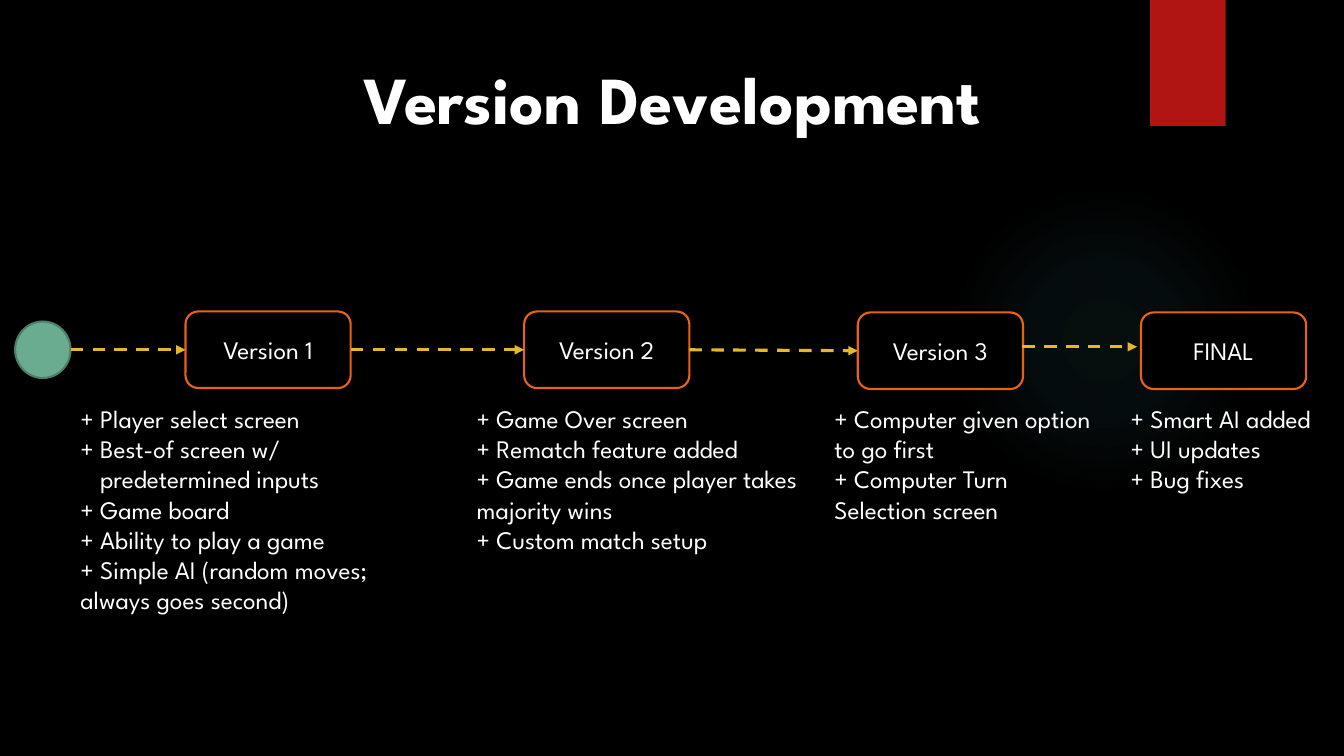
from pptx import Presentation
from pptx import util as u
from pptx.dml.color import RGBColor
from pptx.enum import dml, shapes, text
from pptx.oxml import parse_xml
from pptx.oxml.ns import nsdecls

TITLE = "Version Development"
INDENT = 14
VERSIONS = [
    {"name": "Version 1", "box": (132.5, 222.5), "notes": (50.4, 267.8), "lines": [
        ("+ Player select screen", 0),
        ("+ Best-of screen w/", 0),
        ("predetermined inputs", INDENT),
        ("+ Game board", 0),
        ("+ Ability to play a game", 0),
        ("+ Simple AI (random moves; always goes second)", 0)]},
    {"name": "Version 2", "box": (374.4, 222.5), "notes": (333.4, 255.6), "lines": [
        ("+ Game Over screen", 0),
        ("+ Rematch feature added", 0),
        ("+ Game ends once player takes majority wins", 0),
        ("+ Custom match setup", 0)]},
    {"name": "Version 3", "box": (612.7, 223.2), "notes": (589, 197.3), "lines": [
        ("+ Computer given option to go first", 0),
        ("+ Computer Turn Selection screen", 0)]},
    {"name": "FINAL", "box": (815, 223.2), "notes": (800.6, 146.2), "lines": [
        ("+ Smart AI added", 0),
        ("+ UI updates", 0),
        ("+ Bug fixes", 0)]},
]

THEME = {
    "font": "League Spartan", "title": 48, "body": 18,
    "back": "000000", "ink": "FFFFFF", "ribbon": "B01513", "glow": "50B9C1",
    "start": "6AAC90", "start_line": "4E7F6B", "box_line": "EA6312", "arrow": "E6B729",
}
BOX_W, BOX_H = 118, 54.7
NOTES_TOP, LINE_H = 284.4, 21.6
START = (10.8, 229.7, 39.6, 40.3)
FINAL_ARROW = (730.1, 247.7, 812.2, 247.7)
GLOW_STOPS = [(0, 7), (36, 6), (69, 0)]


def color(name):
    return RGBColor.from_string(THEME[name])


def pts(*values):
    return [u.Pt(v) for v in values]


def assign(target, values):
    for key, value in values.items():
        setattr(target, key, value)


def add_shape(s, kind, at, fill, line=None):
    sp = s.shapes.add_shape(kind, *pts(*at))
    sp.shadow.inherit = False
    sp.fill.solid()
    sp.fill.fore_color.rgb = color(fill)
    if line:
        sp.line.color.rgb = color(line)
        sp.line.width = u.Pt(1.5)
    else:
        sp.line.fill.background()
    return sp


def write(p, words, size="body", bold=False, align=text.PP_ALIGN.LEFT):
    p.alignment = align
    r = p.add_run()
    r.text = words
    assign(r.font, {"name": THEME["font"], "size": u.Pt(THEME[size]), "bold": bold})
    r.font.color.rgb = color("ink")


def add_text_box(s, at, auto_size):
    tf = s.shapes.add_textbox(*pts(*at)).text_frame
    assign(tf, {"word_wrap": True, "auto_size": auto_size})
    return tf


def add_arrow(s, ends=(0, 0, 0, 0)):
    cn = s.shapes.add_connector(shapes.MSO_CONNECTOR.STRAIGHT, *pts(*ends))
    assign(cn.line, {"width": u.Pt(2.25), "dash_style": dml.MSO_LINE.DASH})
    cn.line.color.rgb = color("arrow")
    cn.line._get_or_add_ln().append(parse_xml(f'<a:tailEnd {nsdecls("a")} type="triangle"/>'))
    cn._element.spPr.append(parse_xml(f'<a:effectLst {nsdecls("a")}/>'))
    return cn


def add_backdrop(s):
    s.background.fill.solid()
    s.background.fill.fore_color.rgb = color("back")
    glow = add_shape(s, shapes.MSO_SHAPE.OVAL, (677.5, 131.8, 221.8, 221.8), "glow")
    stops = "".join(
        f'<a:gs pos="{pos * 1000}"><a:srgbClr val="{THEME["glow"]}">'
        f'<a:alpha val="{alpha * 1000}"/></a:srgbClr></a:gs>' for pos, alpha in GLOW_STOPS)
    spPr = glow._element.spPr
    spPr.replace(spPr.solidFill, parse_xml(
        f'<a:gradFill {nsdecls("a")}><a:gsLst>{stops}</a:gsLst><a:path path="circle">'
        '<a:fillToRect l="50000" t="50000" r="50000" b="50000"/></a:path></a:gradFill>'))
    add_shape(s, shapes.MSO_SHAPE.RECTANGLE, (821.5, 0, 54, 90), "ribbon")


def add_version(s, version):
    box = add_shape(s, shapes.MSO_SHAPE.ROUNDED_RECTANGLE,
                    (*version["box"], BOX_W, BOX_H), "back", "box_line")
    box.text_frame.vertical_anchor = text.MSO_ANCHOR.MIDDLE
    write(box.text_frame.paragraphs[0], version["name"], align=text.PP_ALIGN.CENTER)
    left, width = version["notes"]
    lines = version["lines"]
    tf = add_text_box(s, (left, NOTES_TOP, width, len(lines) * LINE_H + 7.2),
                      text.MSO_AUTO_SIZE.SHAPE_TO_FIT_TEXT)
    for i, (words, indent) in enumerate(lines):
        p = tf.add_paragraph() if i else tf.paragraphs[0]
        write(p, words)
        if indent:
            p._p.get_or_add_pPr().set("marL", str(u.Pt(indent)))
    return box


def main():
    prs = Presentation()
    assign(prs, {"slide_width": u.Pt(960), "slide_height": u.Pt(540)})
    s = prs.slides.add_slide(prs.slide_layouts[6])
    add_backdrop(s)

    tf = add_text_box(s, (66.2, 43.9, 828, 104.4), text.MSO_AUTO_SIZE.NONE)
    write(tf.paragraphs[0], TITLE, "title", True, text.PP_ALIGN.CENTER)
    tf.paragraphs[0].line_spacing = 0.9

    add_shape(s, shapes.MSO_SHAPE.OVAL, START, "start", "start_line")
    boxes = [add_version(s, version) for version in VERSIONS]

    left, top, width, height = START
    middle = top + height / 2
    add_arrow(s, (left + width, middle, VERSIONS[0]["box"][0], middle)).end_connect(boxes[0], 1)
    for before, after in zip(boxes[:-2], boxes[1:-1]):
        cn = add_arrow(s)
        cn.begin_connect(before, 3)
        cn.end_connect(after, 1)
    add_arrow(s, FINAL_ARROW)
    prs.save("out.pptx")


if __name__ == "__main__":
    main()
